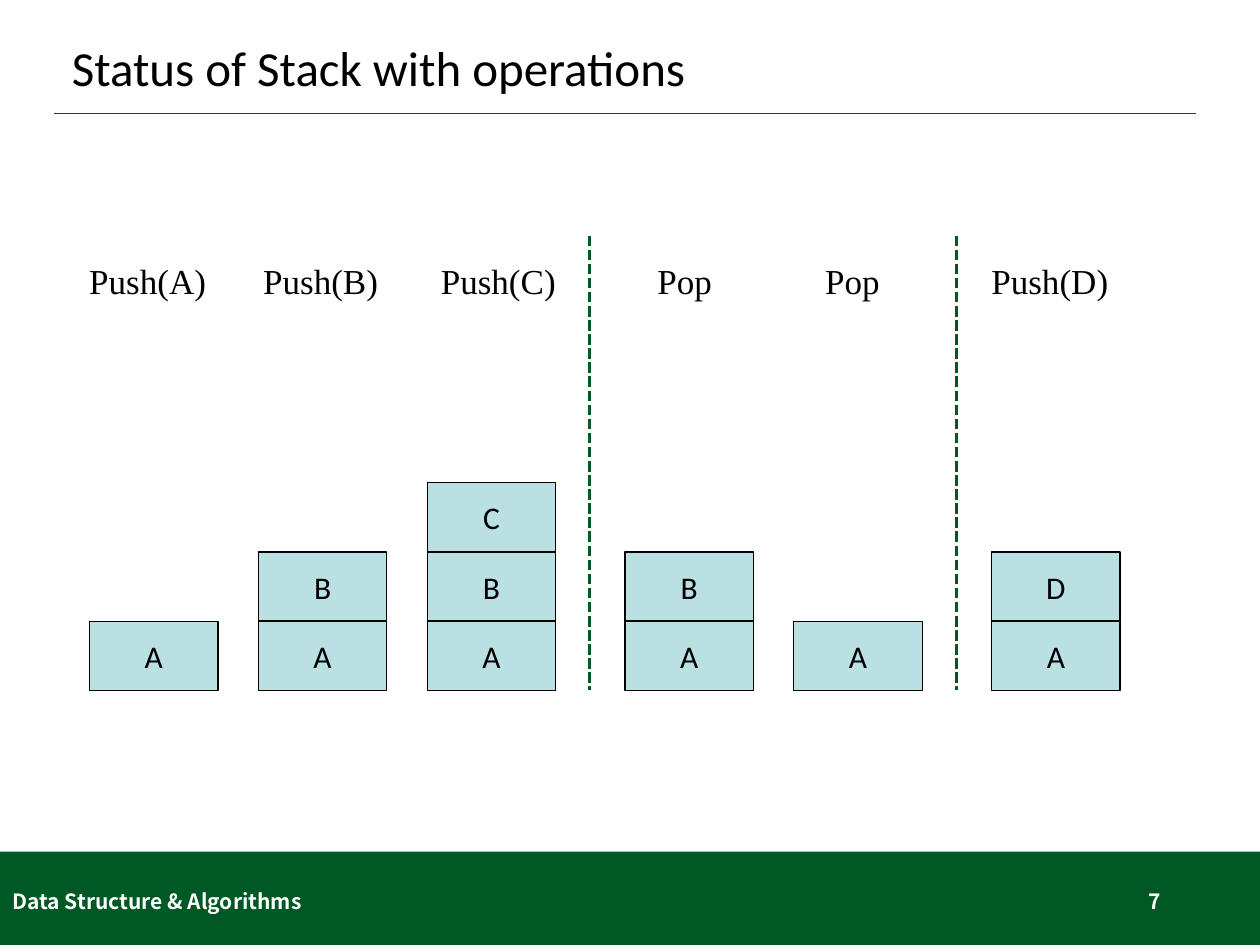
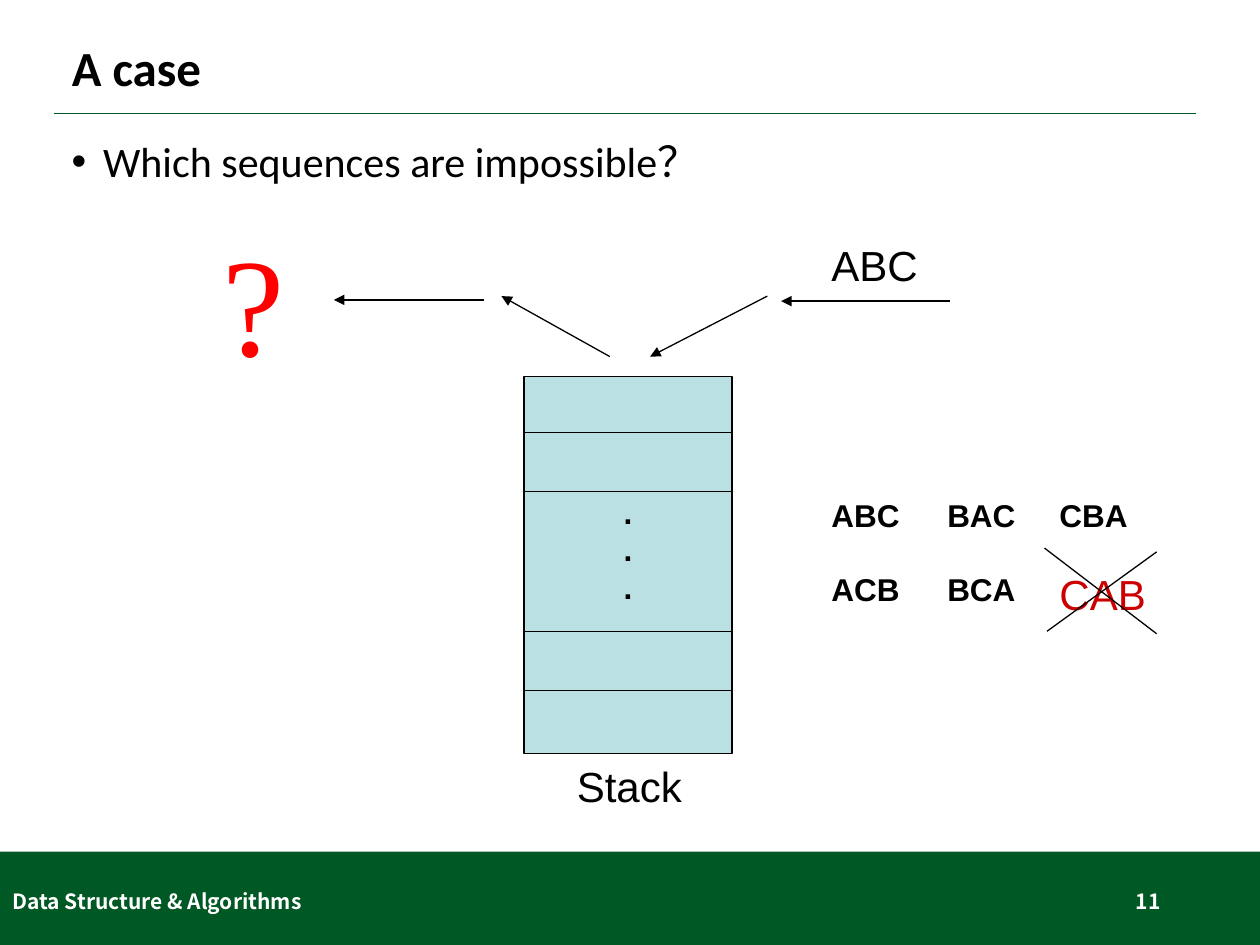
from collections import namedtuple
from dataclasses import dataclass

from lxml.etree import SubElement
from pptx import Presentation
from pptx.dml.color import RGBColor as RGB
from pptx.enum.dml import MSO_LINE
from pptx.enum.shapes import MSO_CONNECTOR, MSO_SHAPE
from pptx.enum.text import MSO_ANCHOR, PP_ALIGN
from pptx.oxml.ns import qn
from pptx.util import Inches, Pt

Box = namedtuple("Box", "x y w h")


@dataclass(frozen=True)
class Theme:
    """Colours, fonts and type sizes of the deck."""
    green: str = "005825"
    cell: str = "BBE0E3"
    ink: str = "000000"
    white: str = "FFFFFF"
    wrong: str = "CC0000"
    alert: str = "FF0000"
    title: tuple = ("Calibri", 28)
    body: tuple = ("Calibri", 24)
    item: tuple = ("Calibri", 18)
    footer: tuple = ("Noto Sans CJK SC", 12)
    operation: tuple = ("Times New Roman", 20)
    label: tuple = ("Arial", 24)
    sequence: tuple = ("Arial", 18)
    question: tuple = ("Times New Roman", 80)


T = Theme()
LEFT, CENTER, RIGHT = PP_ALIGN.LEFT, PP_ALIGN.CENTER, PP_ALIGN.RIGHT
TOP, MIDDLE = MSO_ANCHOR.TOP, MSO_ANCHOR.MIDDLE


def inches(box):
    """Convert the numbers of a box to lengths."""
    return [Inches(v) for v in box]


def set_all(obj, values):
    """Set each attribute named in a dict."""
    for name, value in values.items():
        setattr(obj, name, value)


def write(tf, lines, style, color=T.ink, bold=False, align=LEFT,
          anchor=TOP, wrap=False, **spacing):
    """Fill a text frame with formatted lines; spacing starts at line two."""
    set_all(tf, {"word_wrap": wrap, "vertical_anchor": anchor})
    for i, line in enumerate(lines):
        p = tf.add_paragraph() if i else tf.paragraphs[0]
        p.alignment = align
        if i:
            set_all(p, spacing)
        r = p.add_run()
        r.text = line
        set_all(r.font, {"name": style[0], "size": Pt(style[1]), "bold": bold})
        r.font.color.rgb = RGB.from_string(color)


def add_text(s, box, lines, style, **fmt):
    """Add a text box and return its frame."""
    tf = s.shapes.add_textbox(*inches(box)).text_frame
    write(tf, lines, style, **fmt)
    return tf


def add_rect(s, box, fill, line=None):
    """Add a flat rectangle with an optional thin outline."""
    sp = s.shapes.add_shape(MSO_SHAPE.RECTANGLE, *inches(box))
    sp.shadow.inherit = False
    sp.fill.solid()
    sp.fill.fore_color.rgb = RGB.from_string(fill)
    if line:
        sp.line.color.rgb = RGB.from_string(line)
        sp.line.width = Pt(0.75)
    else:
        sp.line.fill.background()
    return sp


def add_line(s, x1, y1, x2, y2, color=T.ink, width=0.75, dash=None, arrow=False):
    """Add a straight line, dashed or with an arrowhead at its end."""
    cn = s.shapes.add_connector(MSO_CONNECTOR.STRAIGHT, *inches((x1, y1, x2, y2)))
    cn.line.color.rgb = RGB.from_string(color)
    cn.line.width = Pt(width)
    if dash:
        cn.line.dash_style = dash
    if arrow:
        ln = cn.line._get_or_add_ln()
        SubElement(ln, qn("a:tailEnd"), type="triangle")
    SubElement(cn._element.spPr, qn("a:effectLst"))


def add_frame(prs, title, number, bold=False):
    """Start a slide with its title, rule, footer band and number."""
    s = prs.slides.add_slide(prs.slide_layouts[5])
    sp = s.shapes.title
    names = ("left", "top", "width", "height")
    set_all(sp, dict(zip(names, inches((0.47, 0.23, 9.06, 0.66)))))
    write(sp.text_frame, [title], T.title, bold=bold, anchor=MIDDLE, wrap=True)
    sp.text_frame.paragraphs[0].line_spacing = 0.9
    add_line(s, 0.43, 0.9, 9.49, 0.9, color=T.green, width=1)
    add_rect(s, Box(0, 6.76, 10, 0.74), T.green)
    fmt = {"color": T.white, "bold": True, "anchor": MIDDLE, "wrap": True}
    add_text(s, Box(0, 6.95, 3.38, 0.4), ["Data Structure & Algorithms"], T.footer, **fmt)
    add_text(s, Box(7.06, 6.95, 2.25, 0.4), [str(number)], T.footer, align=RIGHT, **fmt)
    return s


def stack_history(s, box, groups):
    """Draw the stack after each operation, with dashed lines between groups."""
    cell_w, cell_h, pitch, group_gap, divider_gap = 1.02, 0.55, 1.34, 0.23, 0.28
    bottom, x = box.y + box.h, box.x
    for g, group in enumerate(groups):
        if g:
            x += group_gap
            add_line(s, x - divider_gap, box.y, x - divider_gap, bottom,
                     color=T.green, width=2, dash=MSO_LINE.SQUARE_DOT)
        for operation, items, shift, width in group:
            add_text(s, Box(x + shift, box.y + 0.14, width, 0.43), [operation], T.operation)
            for level, item in enumerate(items, 1):
                sp = add_rect(s, Box(x, bottom - level * cell_h, cell_w, cell_h), T.cell, T.ink)
                write(sp.text_frame, [item], T.item, align=CENTER, anchor=MIDDLE)
            x += pitch


def bullet(s, box, line):
    """Write one bulleted line."""
    tf = add_text(s, box, [line], T.body, wrap=True)
    p = tf.paragraphs[0]
    p.line_spacing = 0.9
    pPr = p._p.get_or_add_pPr()
    set_indent = {"marL": Inches(0.25), "indent": -Inches(0.25)}
    for name, value in set_indent.items():
        pPr.set(name, str(value))
    SubElement(pPr, qn("a:buFont"), typeface="Arial")
    SubElement(pPr, qn("a:buChar"), char="•")


def tall_stack(s, box):
    """Draw the stack with its cell borders, dots and caption."""
    add_rect(s, box, T.cell, T.ink)
    for dy in (0.44, 0.91, 2.02, 2.49):
        add_line(s, box.x, box.y + dy, box.x + box.w, box.y + dy)
    add_text(s, Box(box.x + 0.69, box.y + 0.87, 0.27, 1.01), ["."] * 3, T.sequence,
             bold=True, align=CENTER)
    add_text(s, Box(box.x + 0.32, box.y + box.h + 0.01, 1.04, 0.51), ["Stack"], T.label)


def data_flow(s, box):
    """Draw the input, the arrows in and out, and the unknown output."""
    arrows = [(6.04, 0.72, 4.7, 0.72), (4.59, 0.68, 3.66, 1.16),
              (3.34, 1.16, 2.48, 0.68), (2.34, 0.71, 1.15, 0.71)]
    for x1, y1, x2, y2 in arrows:
        add_line(s, box.x + x1, box.y + y1, box.x + x2, box.y + y2, arrow=True)
    add_text(s, Box(box.x + 5, box.y + 0.18, 0.89, 0.5), ["ABC"], T.label)
    add_text(s, Box(box.x, box.y, 1.02, box.h), ["?"], T.question,
             color=T.alert, align=CENTER, wrap=True)


def sequences(s, box):
    """List the output sequences and cross out the impossible one."""
    columns = [(0, ["ABC", "ACB"]), (0.92, ["BAC", "BCA"]), (1.81, ["CBA"])]
    for dx, lines in columns:
        add_text(s, Box(box.x + dx, box.y, 0.74, 0.4 if len(lines) == 1 else box.h),
                 lines, T.sequence, bold=True, space_before=Pt(20.7))
    add_text(s, Box(box.x + 1.81, box.y + 0.57, 0.89, 0.5), ["CAB"], T.label, color=T.wrong)
    for x1, y1, x2, y2 in [(2.68, 0.49, 1.81, 1.12), (1.79, 0.46, 2.68, 1.14)]:
        add_line(s, box.x + x1, box.y + y1, box.x + x2, box.y + y2)


def operations_slide(prs):
    """Build the slide on stack operations."""
    s = add_frame(prs, "Status of Stack with operations", 7)
    groups = [
        [("Push(A)", "A", -0.1, 1.13), ("Push(B)", "AB", -0.06, 1.11),
         ("Push(C)", "ABC", 0.01, 1.11)],
        [("Pop", "AB", 0.16, 0.63), ("Pop", "A", 0.15, 0.63)],
        [("Push(D)", "AD", -0.1, 1.13)],
    ]
    stack_history(s, Box(0.71, 1.87, 8.18, 3.61), groups)


def case_slide(prs):
    """Build the slide on impossible sequences."""
    s = add_frame(prs, "A case", 11, bold=True)
    bullet(s, Box(0.47, 1.07, 9.06, 5.54), "Which sequences are impossible？")
    tall_stack(s, Box(4.16, 2.99, 1.65, 2.99))
    data_flow(s, Box(1.5, 1.67, 6.04, 1.45))
    sequences(s, Box(6.5, 3.89, 2.7, 1))


def main():
    """Build and save the deck."""
    prs = Presentation()
    set_all(prs, {"slide_width": Inches(10), "slide_height": Inches(7.5)})
    operations_slide(prs)
    case_slide(prs)
    prs.save("out.pptx")


if __name__ == "__main__":
    main()
